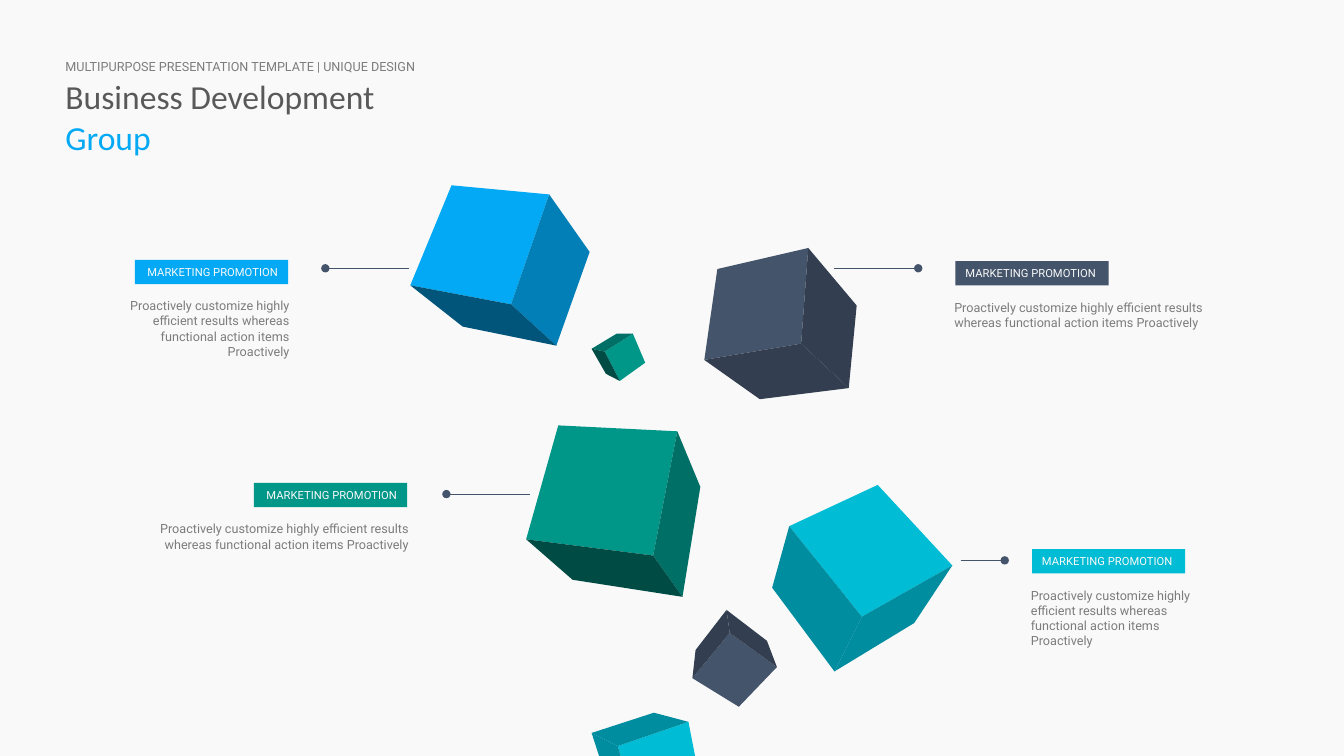
from dataclasses import dataclass

from lxml import etree
from pptx import Presentation
from pptx import util as u
from pptx.dml.color import RGBColor
from pptx.enum import shapes, text
from pptx.oxml import ns
from pptx.shapes.base import BaseShape
from pptx.slide import Slide

Point = tuple[float, float]
Shades = tuple[str, str, str]


@dataclass(frozen=True)
class Theme:
    """Colours, fonts and type sizes of the slide."""

    paper: str = "F9F9F9"
    heading: str = "595959"
    muted: str = "7C7C7C"
    blue: Shades = ("03A9F4", "027FB7", "01557A")
    navy: Shades = ("44546A", "333F50", "333F50")
    cyan: Shades = ("00BCD4", "008D9F", "008D9F")
    green: Shades = ("009688", "007066", "004B44")
    title_font: str = "Calibri"
    body_font: str = "Roboto"
    title_size: float = 24
    body_size: float = 9
    tag_size: float = 8


@dataclass(frozen=True)
class Cube:
    """Near corner and six outline corners, starting on the front face."""

    shades: Shades
    corner: Point
    outline: tuple[Point, ...]


@dataclass(frozen=True)
class Callout:
    """A coloured tag, its text and the pin that leads to a cube."""

    colour: str
    left: float
    top: float
    body_width: float
    body_height: float
    pin_start: float
    pin_end: float
    pin_y: float


THEME = Theme()
TAG_WIDTH, TAG_HEIGHT = 3.86, 0.61
BODY_DROP, BODY_OVERHANG = 0.84, 0.28
TAG_TEXT = "MARKETING PROMOTION"
BODY_TEXT = "Proactively customize highly efficient results whereas functional action items Proactively"

CUBES = (
    Cube(THEME.navy, (20.19, 8.66), ((17.75, 9.07), (18.08, 6.78), (20.37, 6.25),
                                     (21.59, 7.7), (21.39, 9.78), (19.15, 10.06))),
    Cube(THEME.cyan, (21.72, 15.54), ((19.89, 13.26), (22.12, 12.22), (24, 14.25),
                                      (23.04, 15.7), (21.03, 16.92), (19.46, 14.81))),
    Cube(THEME.blue, (12.88, 7.67), ((10.34, 7.19), (11.38, 4.67), (13.84, 4.9),
                                     (14.86, 6.35), (14.02, 8.71), (11.66, 8.23))),
    Cube(THEME.green, (16.46, 14), ((13.26, 13.59), (14.07, 10.72), (17.07, 10.87),
                                    (17.65, 12.27), (17.2, 15.04), (14.43, 14.61))),
    Cube(THEME.green, (15.24, 8.86), ((15.62, 9.6), (16.26, 9.14), (15.95, 8.41),
                                      (15.54, 8.41), (14.91, 8.79), (15.27, 9.42))),
    Cube(THEME.navy, (18.39, 15.95), ((17.45, 17.09), (18.62, 17.81), (19.58, 16.81),
                                      (19.33, 16.15), (18.31, 15.37), (17.53, 16.38))),
    Cube(THEME.cyan, (15.57, 18.8), ((16.1, 20.62), (17.68, 19.89), (17.35, 18.19),
                                     (16.48, 17.96), (14.91, 18.47), (15.42, 20.04))),
)

CALLOUTS = (
    Callout(THEME.navy[0], 24.08, 6.58, 7.11, 1.02, 21.03, 23.14, 6.76),
    Callout(THEME.cyan[0], 26.01, 13.84, 5.18, 1.8, 24.21, 25.32, 14.12),
    Callout(THEME.blue[0], 3.4, 6.55, 4.57, 1.8, 10.31, 8.2, 6.76),
    Callout(THEME.green[0], 6.4, 12.17, 7.11, 1.02, 13.36, 11.25, 12.45),
)


def paint(shape: BaseShape, colour: str) -> None:
    """Give a shape a flat fill without line or shadow."""
    shape.shadow.inherit = False
    shape.fill.solid()
    shape.fill.fore_color.rgb = RGBColor.from_string(colour)
    shape.line.fill.background()


def write(box: BaseShape, words: str, *, colour: str, size: float,
          font: str = THEME.body_font, wrap: bool = False, right: bool = False) -> None:
    """Add a formatted span to the first paragraph of a box."""
    frame = box.text_frame
    frame.word_wrap = wrap
    frame.auto_size = text.MSO_AUTO_SIZE.SHAPE_TO_FIT_TEXT
    para = frame.paragraphs[0]
    para.alignment = text.PP_ALIGN.RIGHT if right else text.PP_ALIGN.LEFT
    span = para.add_run()
    span.text = words
    span.font.name = font
    span.font.size = u.Pt(size)
    span.font.color.rgb = RGBColor.from_string(colour)


def add_box(page: Slide, left: float, top: float, width: float, height: float) -> BaseShape:
    """Add an empty text box measured in centimetres."""
    return page.shapes.add_textbox(u.Cm(left), u.Cm(top), u.Cm(width), u.Cm(height))


def draw_cube(page: Slide, cube: Cube) -> None:
    """Draw the three visible faces of a cube as one group."""
    group = page.shapes.add_group_shape()
    for index, shade in enumerate(cube.shades):
        edge = [cube.outline[(2 * index + step) % 6] for step in range(3)]
        start, *others = [(u.Cm(x), u.Cm(y)) for x, y in (*edge, cube.corner)]
        builder = group.shapes.build_freeform(*start)
        builder.add_line_segments(others, close=True)
        paint(builder.convert_to_shape(), shade)


def draw_pin(page: Slide, callout: Callout) -> None:
    """Draw a thin line with a round end towards the tag."""
    y = u.Cm(callout.pin_y)
    pin = page.shapes.add_connector(shapes.MSO_CONNECTOR.STRAIGHT, u.Cm(callout.pin_start), y,
                                    u.Cm(callout.pin_end), y)
    pin.line.width = u.Pt(0.5)
    pin.line.color.rgb = RGBColor.from_string(THEME.navy[0])
    etree.SubElement(pin.line._get_or_add_ln(), ns.qn("a:tailEnd"), type="oval")
    etree.SubElement(pin._element.spPr, ns.qn("a:effectLst"))


def draw_callout(page: Slide, callout: Callout) -> None:
    """Draw a tag with its text, right-aligned when left of its cube."""
    right = callout.pin_end < callout.pin_start
    tag = page.shapes.add_shape(shapes.MSO_SHAPE.RECTANGLE, u.Cm(callout.left), u.Cm(callout.top),
                                u.Cm(TAG_WIDTH), u.Cm(TAG_HEIGHT))
    paint(tag, callout.colour)
    write(tag, TAG_TEXT, colour=THEME.paper, size=THEME.tag_size, right=right)
    left = callout.left - BODY_OVERHANG
    if right:
        left = callout.left + TAG_WIDTH + BODY_OVERHANG - callout.body_width
    body = add_box(page, left, callout.top + BODY_DROP, callout.body_width, callout.body_height)
    write(body, BODY_TEXT, colour=THEME.muted, size=THEME.body_size, wrap=True, right=right)


def draw_heading(page: Slide) -> None:
    """Write the two-coloured title and the line above it."""
    title = add_box(page, 1.4, 1.8, 9.96, 2.29)
    for words, colour in (("Business Development ", THEME.heading), ("Group", THEME.blue[0])):
        write(title, words, colour=colour, size=THEME.title_size, font=THEME.title_font, wrap=True)
    kicker = add_box(page, 1.4, 1.35, 9.63, 0.64)
    write(kicker, "MULTIPURPOSE PRESENTATION TEMPLATE | UNIQUE DESIGN",
          colour=THEME.muted, size=THEME.body_size)


def main() -> None:
    """Build and save the deck."""
    deck = Presentation()
    deck.slide_width, deck.slide_height = u.Cm(33.87), u.Cm(19.05)
    page = deck.slides.add_slide(deck.slide_layouts[6])
    page.background.fill.solid()
    page.background.fill.fore_color.rgb = RGBColor.from_string(THEME.paper)
    draw_heading(page)
    for cube in CUBES:
        draw_cube(page, cube)
    for callout in CALLOUTS:
        draw_pin(page, callout)
        draw_callout(page, callout)
    deck.save("out.pptx")


if __name__ == "__main__":
    main()
